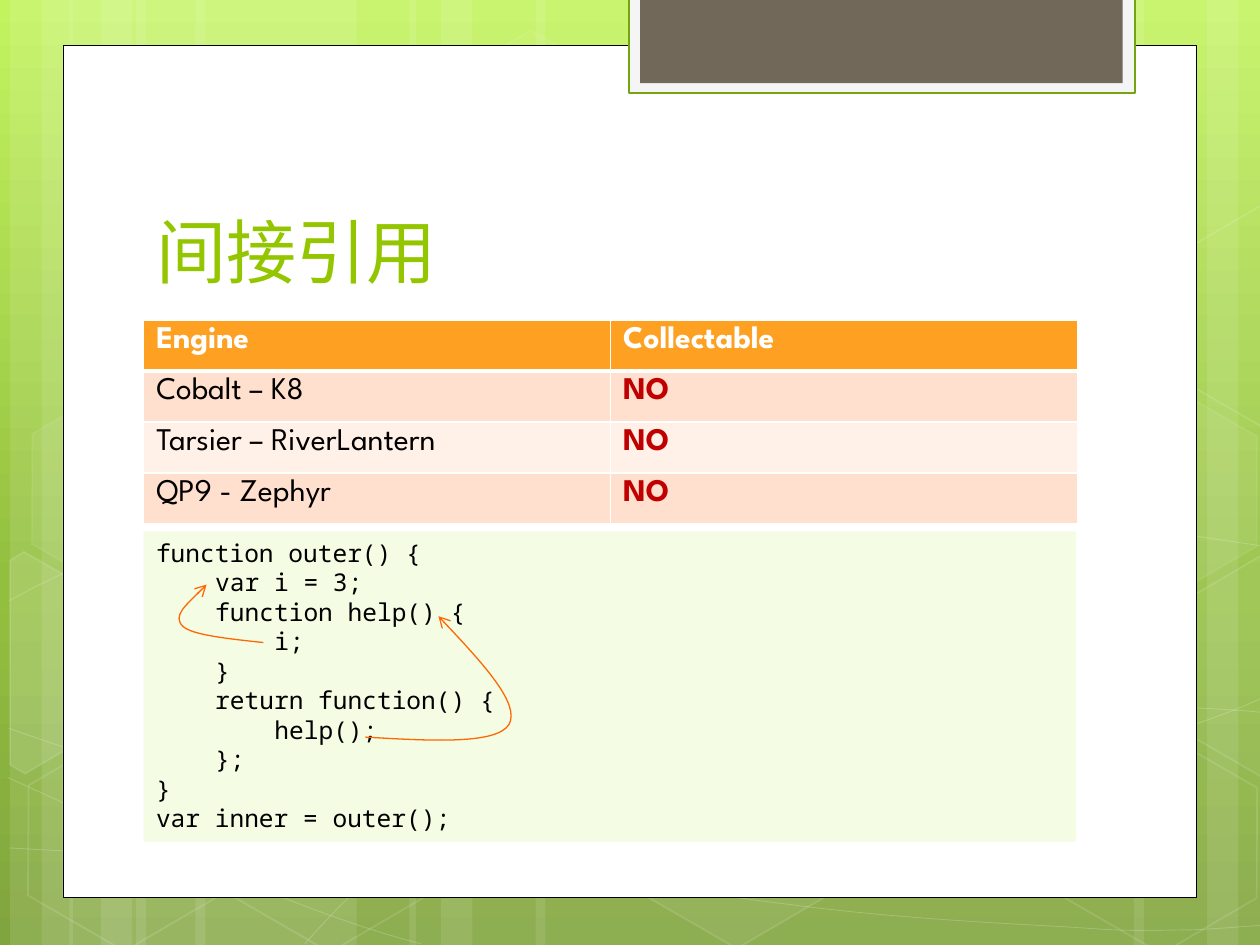
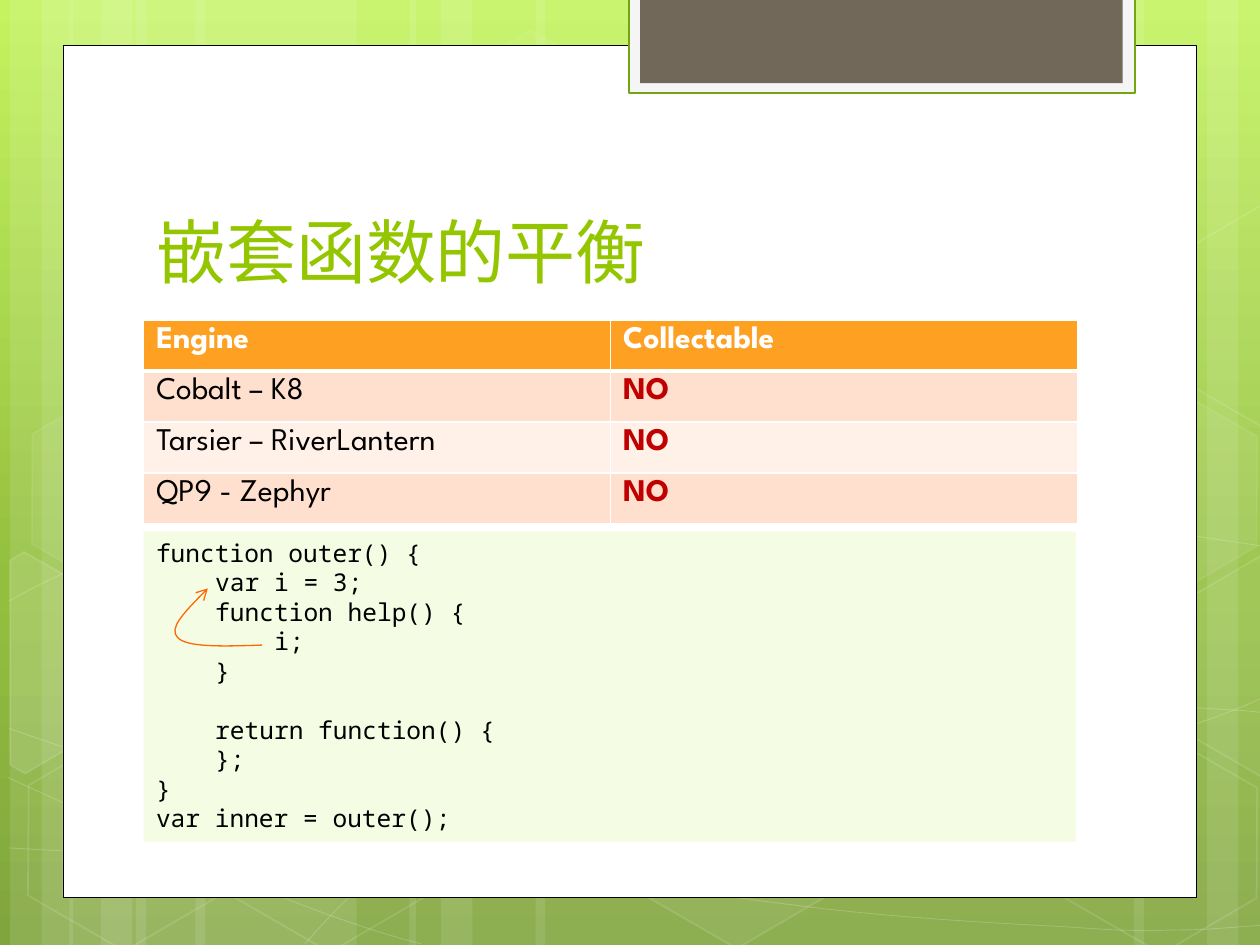
from copy import deepcopy
from lxml import etree
from pptx import Presentation
from pptx import util as u
from pptx.dml.color import RGBColor
from pptx.enum import shapes, text
from pptx.oxml.ns import qn

WHITE = RGBColor(0xFF, 0xFF, 0xFF)
BLACK = RGBColor(0, 0, 0)
LIME = RGBColor(0x94, 0xC6, 0x00)
LEAF = RGBColor(0x74, 0xA5, 0x10)
PALE = RGBColor(0xF5, 0xF5, 0xF5)
BROWN = RGBColor(0x71, 0x68, 0x5A)
AMBER = RGBColor(0xFE, 0xA0, 0x22)
PEACH = RGBColor(0xFF, 0xDF, 0xCD)
CREAM = RGBColor(0xFF, 0xF0, 0xE8)
RED = RGBColor(0xC0, 0, 0)
MINT = RGBColor(0xF4, 0xFC, 0xE4)
ORANGE = RGBColor(0xFF, 0x67, 0x00)
SKY = [(0, RGBColor(0xC3, 0xF3, 0x5F)), (0.62, RGBColor(0x93, 0xBF, 0x3F)),
       (1, RGBColor(0x81, 0xA5, 0x3E))]

SANS, MONO = "League Spartan", "Noto Sans Mono"
PITCH = u.Pt(16.85)
INDENT = u.Inches(0.47)

SHEET = (0.5, 0.36, 9, 6.76)
HEAD = (1.14, 1.12, 7.68, 1.25)
GRID = (1.14, 2.54, 7.41, 1.62)
CODE = (1.14, 4.22, 7.4, 2.46)

STRIPES = [(1.08, 1.75), (0.08, 0.5), (0.33, 0.83), (1.55, 1.75),
           (0.55, 0.5), (0.8, 0.83), (7.33, 1.75), (9.58, 0.5),
           (9, 0.83), (4.25, 3.08), (3.25, 0.5), (3.5, 0.83)]
WAVES = [
    [(0.07, 6.73), (0.61, 6.76), (1.15, 6.79), (1.9, 6.78),
     (2.65, 6.77), (3.58, 6.75), (4.58, 6.65), (5.58, 6.55), (7, 6.36),
     (7.92, 6.17), (8.83, 5.98), (9.77, 5.68), (10.07, 5.51)],
    [(0.07, 4.77), (0.36, 4.61), (0.65, 4.46), (1.21, 4.31),
     (1.78, 4.16), (2.59, 3.94), (3.47, 3.87), (4.36, 3.8), (5.44, 3.79),
     (6.54, 3.87), (7.64, 3.95), (9.47, 4.26), (10.07, 4.34)],
    [(0.06, 6.17), (1.27, 6.72), (2.47, 7.27), (3.34, 7.49)],
    [(0.07, 5.78), (0.38, 5.89), (0.7, 6), (1.28, 6.16),
     (1.86, 6.31), (2.73, 6.56), (3.57, 6.73), (4.4, 6.9), (5.45, 7.08),
     (6.28, 7.18), (7.11, 7.29), (8, 7.33), (8.53, 7.36), (9.05, 7.4),
     (9.19, 7.38), (9.45, 7.38), (9.71, 7.37), (9.89, 7.35), (10.07, 7.34)],
    [(2.42, 7.49), (2.6, 7.29), (2.78, 7.09), (3.02, 6.91),
     (3.26, 6.73), (3.6, 6.53), (3.88, 6.39), (4.16, 6.25), (4.33, 6.19),
     (4.7, 6.09), (5.06, 5.99), (5.73, 5.85), (6.08, 5.78), (6.44, 5.71),
     (6.49, 5.71), (6.8, 5.69), (7.11, 5.66), (7.6, 5.63), (7.94, 5.62),
     (8.29, 5.61), (8.86, 5.62), (8.86, 5.62), (9.08, 5.62), (9.31, 5.62),
     (9.53, 5.62), (9.71, 5.63), (9.88, 5.64), (9.97, 5.65),
     (10.06, 5.66), (10.03, 5.65), (10.06, 5.66)],
]
HEXES = [(3.34, 0.36, 4, 8), (4.97, 5.89, 6, 12), (0.11, 5.91, 0, 12),
         (0.14, 3.12, 7, 8), (1.74, 5.92, 0, 12), (7.53, 4.53, 10, 12),
         (8.34, 5.93, 0, 12), (8.34, 3.14, 7, 8)]
CUTS = [
    (10, [(0.08, 4.45), (0.19, 4.38), (0.96, 4.82), (0.95, 5.7),
          (0.2, 6.14), (0.08, 6.07)]),
    (4, [(9.26, 4.85), (10.01, 4.41), (10.09, 4.46), (10.09, 6.13),
         (10.02, 6.17), (9.26, 5.73)]),
    (0, [(9.26, 2.07), (10.01, 1.63), (10.1, 1.68), (10.09, 3.35),
         (10.02, 3.39), (9.26, 2.95)]),
]

ROWS = [("Engine", "Collectable"), ("Cobalt – K8", "NO"),
        ("Tarsier – RiverLantern", "NO"), ("QP9 - Zephyr", "NO")]

OPEN = [(0, "function outer() {"), (1, "var i = 3;"),
        (1, "function help() {"), (2, "i;"), (1, "}")]
CLOSE = [(1, "};"), (0, "}"), (0, "var inner = outer();")]
BACK = (1, "return function() {")
PAGES = [
    ("间接引用", OPEN + [BACK, (2, "help();")] + CLOSE, None,
     [[(1.76, 1.63), (2.28, 1.66), (2.8, 1.69), (2.9, 1.53),
       (2.99, 1.37), (2.67, 1.02), (2.34, 0.67)],
      [(0.95, 0.88), (0.67, 0.85), (0.38, 0.82), (0.31, 0.75),
       (0.23, 0.67), (0.37, 0.55), (0.5, 0.42)]]),
    ("嵌套函数的平衡", OPEN + [BACK] + CLOSE, BACK,
     [[(0.94, 0.9), (0.64, 0.91), (0.34, 0.92), (0.27, 0.84),
       (0.2, 0.77), (0.35, 0.61), (0.51, 0.45)]]),
]


def put(item, vals):
    for name, val in vals.items():
        setattr(item, name, val)


def inch(box):
    return [u.Inches(n) for n in box]


def veil(node, share):
    color = node.find(qn("a:solidFill"))[0]
    etree.SubElement(color, qn("a:alpha"), val=str(share * 1000))


def paint(shape, fill=None, haze=None, line=None, width=1, fade=None):
    shape.shadow.inherit = False
    props = shape.element.spPr
    if fill is None:
        shape.fill.background()
    else:
        shape.fill.solid()
        shape.fill.fore_color.rgb = fill
        if haze:
            veil(props, haze)
    if line is None:
        shape.line.fill.background()
    else:
        shape.line.color.rgb = line
        shape.line.width = u.Pt(width)
        if fade:
            veil(props.find(qn("a:ln")), fade)
    return shape


def rect(slide, box, **look):
    kind = shapes.MSO_SHAPE.RECTANGLE
    return paint(slide.shapes.add_shape(kind, *inch(box)), **look)


def shape_of(slide, dots, close):
    first, *rest = [inch(dot) for dot in dots]
    pen = slide.shapes.build_freeform(*first)
    pen.add_line_segments(rest, close=close)
    return pen.convert_to_shape()


def curve(slide, dots, **look):
    shape = shape_of(slide, dots, False)
    lines = list(shape.element.iter(qn("a:lnTo")))
    for i in range(0, len(lines), 3):
        bend = etree.SubElement(lines[i].getparent(), qn("a:cubicBezTo"))
        for line in lines[i:i + 3]:
            bend.append(line[0])
            line.getparent().remove(line)
    return paint(shape, **look)


def sky(master):
    fill = master.background.fill
    fill.gradient()
    stops = next(master.element.iter(qn("a:gsLst")))
    stops.append(deepcopy(stops[1]))
    for stop, (pos, color) in zip(fill.gradient_stops, SKY):
        stop.position = pos
        stop.color.rgb = color
    fill.gradient_angle = 270


def decor(slide):
    for left, wide in STRIPES:
        rect(slide, (left, 0, wide, 7.5), fill=WHITE, haze=10)
    for dots in WAVES:
        curve(slide, dots, line=WHITE, width=0.5, fade=20)
    for left, top, haze, fade in HEXES:
        hexa = slide.shapes.add_shape(shapes.MSO_SHAPE.HEXAGON,
                                      *inch((left, top, 1.75, 1.52)))
        hexa.adjustments[0] = 0.285
        hexa.rotation = 30
        paint(hexa, WHITE if haze else None, haze, WHITE, 1, fade)
    for haze, dots in CUTS:
        paint(shape_of(slide, dots, True), WHITE if haze else None, haze,
              WHITE, 1, 12)


def sheet(slide, box):
    x, y, w, h = box
    rect(slide, box, fill=WHITE, line=BLACK, width=0.5)
    rect(slide, (x + 4.49, y - 0.38, 4.02, 0.76), fill=PALE, line=LEAF,
         width=1.25)
    rect(slide, (x + 4.58, y - 0.38, 3.83, 0.68), fill=BROWN)


def head(slide, box, words):
    title = slide.shapes.title
    title.element.getparent().append(title.element)
    put(title, dict(zip(("left", "top", "width", "height"), inch(box))))
    frame = title.text_frame
    frame.text = words
    put(frame, {"vertical_anchor": text.MSO_ANCHOR.BOTTOM,
                "auto_size": text.MSO_AUTO_SIZE.NONE, "word_wrap": True})
    para = frame.paragraphs[0]
    para.alignment = text.PP_ALIGN.LEFT
    put(para.runs[0].font, {"name": SANS, "size": u.Pt(40)})
    para.runs[0].font.color.rgb = LIME


def edge(cell, sides):
    props = cell._tc.get_or_add_tcPr()
    for i, (side, width) in enumerate(sides.items()):
        line = etree.Element(qn("a:ln" + side), w=str(u.Pt(width)))
        fill = etree.SubElement(line, qn("a:solidFill"))
        etree.SubElement(fill, qn("a:srgbClr"), val=str(WHITE))
        props.insert(i, line)


def grid(slide, box):
    table = slide.shapes.add_table(len(ROWS), 2, *inch(box)).table
    for r, row in enumerate(ROWS):
        table.rows[r].height = u.Inches(box[3] / len(ROWS))
        for c, words in enumerate(row):
            cell = table.cell(r, c)
            cell.text = words
            cell.fill.solid()
            cell.fill.fore_color.rgb = (AMBER, PEACH, CREAM, PEACH)[r]
            edge(cell, {"L": 1, "R": 1, "T": 3 if r == 1 else 1,
                        "B": 3 if r == 0 else 1})
            font = cell.text_frame.paragraphs[0].runs[0].font
            put(font, {"name": SANS, "size": u.Pt(18),
                       "bold": r == 0 or c == 1})
            font.color.rgb = WHITE if r == 0 else (BLACK, RED)[c]


def code(slide, box, lines, gap, arrows):
    frame = rect(slide, box, fill=MINT).text_frame
    put(frame, {"word_wrap": True, "vertical_anchor": text.MSO_ANCHOR.TOP})
    for i, (depth, words) in enumerate(lines):
        para = frame.add_paragraph() if i else frame.paragraphs[0]
        put(para, {"text": words, "alignment": text.PP_ALIGN.LEFT,
                   "line_spacing": PITCH})
        if (depth, words) == gap:
            para.space_before = PITCH
        para._p.get_or_add_pPr().set("marL", str(depth * INDENT))
        font = para.runs[0].font
        put(font, {"name": MONO, "size": u.Pt(14)})
        font.color.rgb = BLACK
    for dots in arrows:
        spots = [(box[0] + x, box[1] + y) for x, y in dots]
        arrow = curve(slide, spots, line=ORANGE, width=0.75)
        line = arrow.element.spPr.find(qn("a:ln"))
        etree.SubElement(line, qn("a:tailEnd"), type="arrow")


def page(deck, words, lines, gap, arrows):
    slide = deck.slides.add_slide(deck.slide_layouts[5])
    decor(slide)
    sheet(slide, SHEET)
    head(slide, HEAD, words)
    grid(slide, GRID)
    code(slide, CODE, lines, gap, arrows)


def main():
    deck = Presentation()
    put(deck, {"slide_width": u.Inches(10), "slide_height": u.Inches(7.5)})
    sky(deck.slide_master)
    for item in PAGES:
        page(deck, *item)
    deck.save("out.pptx")


if __name__ == "__main__":
    main()
